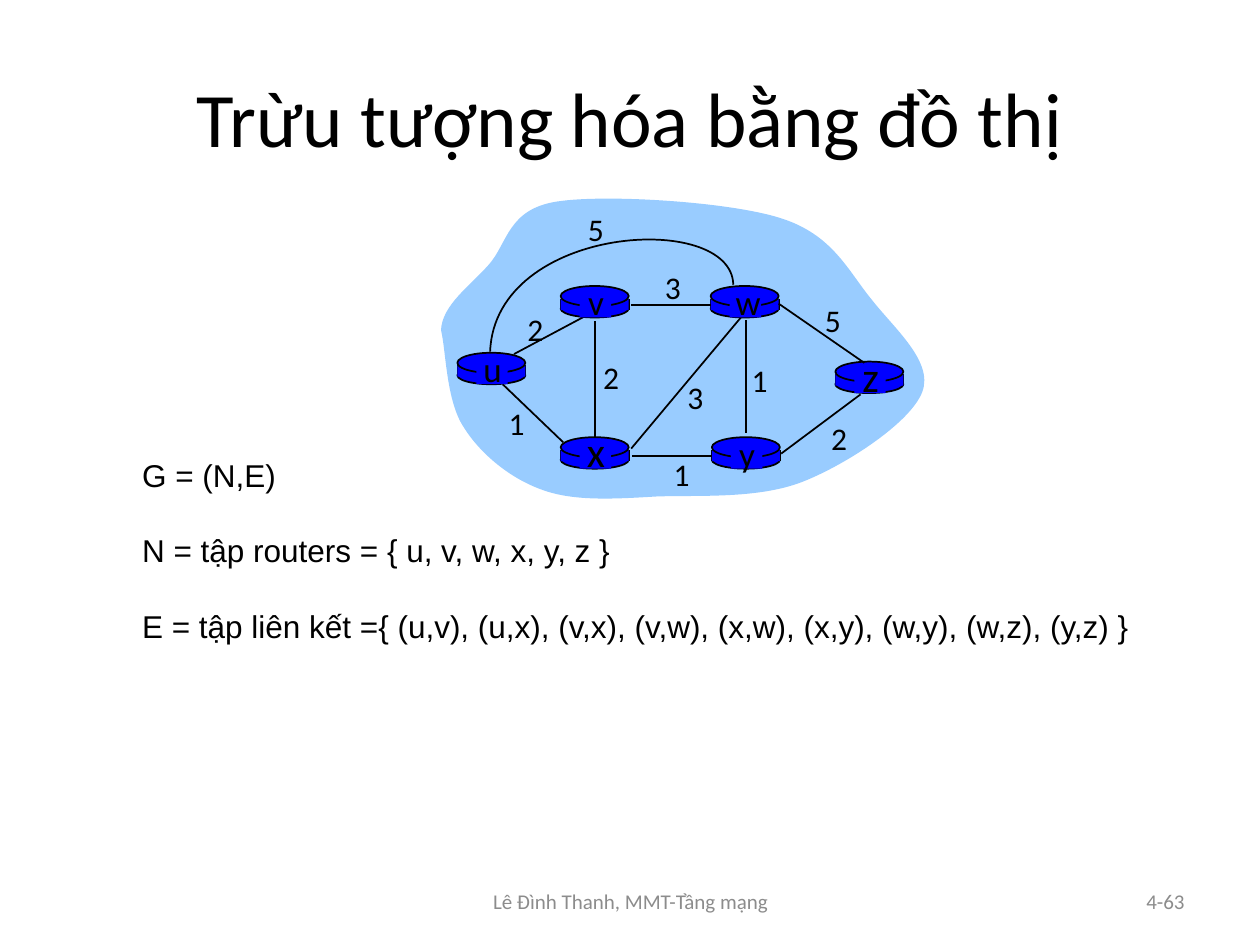
from lxml.etree import SubElement
from pptx import Presentation
from pptx.dml.color import RGBColor
from pptx.enum.shapes import MSO_CONNECTOR, MSO_SHAPE
from pptx.enum.text import MSO_ANCHOR, PP_ALIGN
from pptx.oxml.ns import qn
from pptx.util import Inches, Pt

TITLE = "Trừu tượng hóa bằng đồ thị"
DEFINITIONS = [
    "G = (N,E)",
    "N = tập routers = { u, v, w, x, y, z }",
    "E = tập liên kết ={ (u,v), (u,x), (v,x), (v,w), (x,w), (x,y), (w,y), (w,z), (y,z) }",
]
FOOTER = "Lê Đình Thanh, MMT-Tầng mạng"
PAGE = "4-63"

BLACK, GREY, BLUE, SKY = "000000", "8C8C8C", "0000FF", "99CCFF"
ROUTER_WIDTH = 0.54

# name: left, top, label size
ROUTERS = {
    "u": (3.63, 2.8, 20),
    "x": (4.45, 3.47, 24),
    "v": (4.45, 2.27, 20),
    "w": (5.64, 2.27, 20),
    "y": (5.65, 3.47, 20),
    "z": (6.63, 2.87, 24),
}
LINK_BEHIND_ROUTERS = (4.08, 2.81, 4.68, 2.49)  # u-v
LINKS = [
    (5.92, 2.54, 5.92, 3.44),  # w-y
    (4.72, 2.55, 4.72, 3.48),  # v-x
    (5.01, 3.56, 5.88, 2.52),  # x-w
    (6.2, 3.6, 6.83, 3.13),    # y-z
    (5.65, 3.62, 5.02, 3.62),  # y-x
    (4.47, 3.51, 3.99, 3.05),  # x-u
    (5.64, 2.42, 5.01, 2.42),  # w-v
    (6.86, 2.88, 6.18, 2.41),  # z-w
]
# cost, centre x, top
COSTS = [
    ("2", 4.25, 2.41), ("2", 4.85, 2.79), ("1", 4.1, 3.16), ("3", 5.52, 2.95),
    ("1", 5.41, 3.56), ("1", 6.03, 2.82), ("2", 6.66, 3.28), ("5", 6.61, 2.34),
    ("3", 5.34, 2.08), ("5", 4.73, 1.62),
]
# Each curve: start point, then Bezier segments of two controls and an end
CLOUD = (3.5, 2.62), [
    ((3.51, 2.42), (3.73, 2.27), (3.88, 2.1)),
    ((4.03, 1.93), (4.03, 1.66), (4.42, 1.6)),
    ((4.8, 1.54), (5.78, 1.6), (6.19, 1.73)),
    ((6.61, 1.86), (6.73, 2.15), (6.92, 2.38)),
    ((7.1, 2.61), (7.41, 2.87), (7.32, 3.11)),
    ((7.23, 3.35), (6.73, 3.68), (6.38, 3.82)),
    ((6.03, 3.96), (5.57, 3.93), (5.22, 3.94)),
    ((4.88, 3.96), (4.56, 3.98), (4.31, 3.89)),
    ((4.05, 3.8), (3.81, 3.6), (3.68, 3.39)),
    ((3.54, 3.18), (3.54, 2.78), (3.5, 2.62)),
]
LINK_U_W = (5.82, 2.26), [((5.81, 1.67), (3.93, 1.78), (3.89, 2.79))]


def rgb(color):
    return RGBColor.from_string(color)


def style(shape, fill=None, line=None):
    shape.shadow.inherit = False
    if fill:
        shape.fill.solid()
        shape.fill.fore_color.rgb = rgb(fill)
    else:
        shape.fill.background()
    if line:
        shape.line.color.rgb = rgb(line)
        shape.line.width = Pt(1)
    else:
        shape.line.fill.background()


def add_preset(slide, preset, left, top, width, height, fill, line=None):
    box = map(Inches, (left, top, width, height))
    style(slide.shapes.add_shape(preset, *box), fill, line)


def add_line(slide, ends):
    link = slide.shapes.add_connector(MSO_CONNECTOR.STRAIGHT, *map(Inches, ends))
    link.line.color.rgb = rgb(BLACK)
    link.line.width = Pt(1)
    SubElement(link._element.spPr, qn("a:effectLst"))


def add_curve(slide, curve, close, fill=None, line=None):
    """Build a freeform through all points, then turn each three lines into a Bezier."""
    start, segments = curve
    points = [tuple(map(Inches, point)) for segment in segments for point in segment]
    builder = slide.shapes.build_freeform(*map(Inches, start))
    builder.add_line_segments(points, close=close)
    shape = builder.convert_to_shape()
    outline = next(shape._element.iter(qn("a:path")))
    straights = outline.findall(qn("a:lnTo"))
    for index in range(0, len(segments) * 3, 3):
        bezier = SubElement(outline, qn("a:cubicBezTo"))
        straights[index].addprevious(bezier)
        for straight in straights[index:index + 3]:
            bezier.append(straight[0])
            outline.remove(straight)
    style(shape, fill, line)


def add_text(slide, box, lines, size, color=BLACK, font="Calibri",
             align=PP_ALIGN.CENTER, anchor=MSO_ANCHOR.TOP, wrap=False, gap=0):
    frame = slide.shapes.add_textbox(*map(Inches, box)).text_frame
    frame.word_wrap = wrap
    frame.vertical_anchor = anchor
    frame.text = "\n".join(lines)
    for index, paragraph in enumerate(frame.paragraphs):
        paragraph.alignment = align
        if index:
            paragraph.space_before = Pt(gap)
        paragraph.font.size = Pt(size)
        paragraph.font.name = font
        paragraph.font.color.rgb = rgb(color)


def add_router(slide, left, top):
    right = left + ROUTER_WIDTH
    add_preset(slide, MSO_SHAPE.OVAL, left, top + 0.11, ROUTER_WIDTH, 0.14, BLUE, BLACK)
    for side in (left, right):
        add_line(slide, (side, top + 0.1, side, top + 0.19))
    add_preset(slide, MSO_SHAPE.RECTANGLE, left, top + 0.1, ROUTER_WIDTH, 0.09, BLUE)
    add_preset(slide, MSO_SHAPE.OVAL, left, top, ROUTER_WIDTH, 0.16, BLUE, BLACK)


def add_router_name(slide, name, left, top, size):
    add_preset(slide, MSO_SHAPE.RECTANGLE, left + 0.15, top + 0.02, 0.25, 0.23, BLUE)
    width, height, rise = (0.36, 0.43, 0.09) if size == 20 else (0.4, 0.5, 0.14)
    center = left + 0.28
    add_text(slide, (center - width / 2, top - rise, width, height), [name], size)


def main():
    deck = Presentation()
    deck.slide_width, deck.slide_height = Inches(10), Inches(7.5)
    slide = deck.slides.add_slide(deck.slide_layouts[6])

    add_text(slide, (3.42, 6.95, 3.17, 0.4), [FOOTER], 12, GREY,
             anchor=MSO_ANCHOR.MIDDLE, wrap=True)
    add_text(slide, (7.17, 6.95, 2.33, 0.4), [PAGE], 12, GREY,
             align=PP_ALIGN.RIGHT, anchor=MSO_ANCHOR.MIDDLE, wrap=True)

    add_curve(slide, CLOUD, close=True, fill=SKY)
    add_line(slide, LINK_BEHIND_ROUTERS)
    for left, top, _ in ROUTERS.values():
        add_router(slide, left, top)
    for ends in LINKS:
        add_line(slide, ends)
    add_curve(slide, LINK_U_W, close=False, line=BLACK)
    for name, (left, top, size) in ROUTERS.items():
        add_router_name(slide, name, left, top, size)
    for cost, center, top in COSTS:
        add_text(slide, (center - 0.17, top, 0.34, 0.4), [cost], 18)

    add_text(slide, (1.03, 3.57, 8.36, 1.62), DEFINITIONS, 18, font="Arial",
             align=PP_ALIGN.LEFT, gap=21.5)
    add_text(slide, (0.5, 0.3, 9, 1.25), [TITLE], 44,
             anchor=MSO_ANCHOR.MIDDLE, wrap=True)
    deck.save("out.pptx")


if __name__ == "__main__":
    main()
